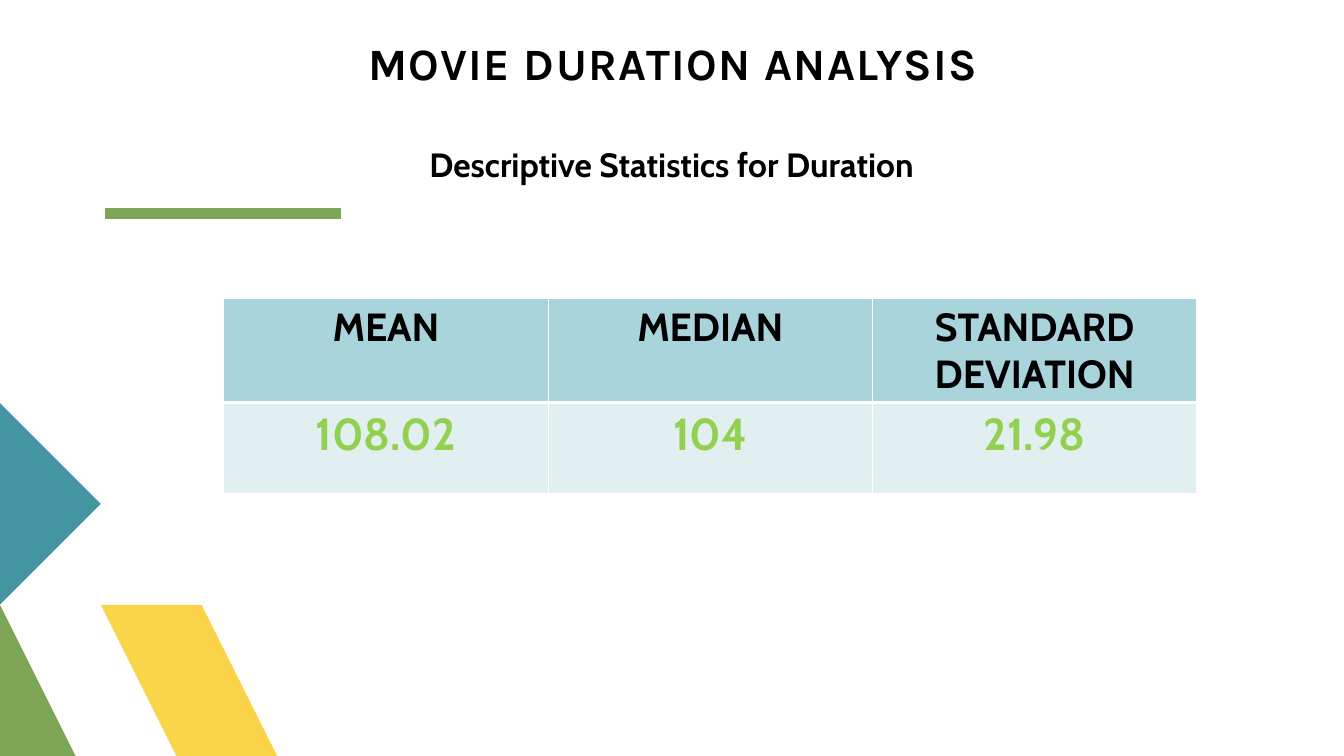
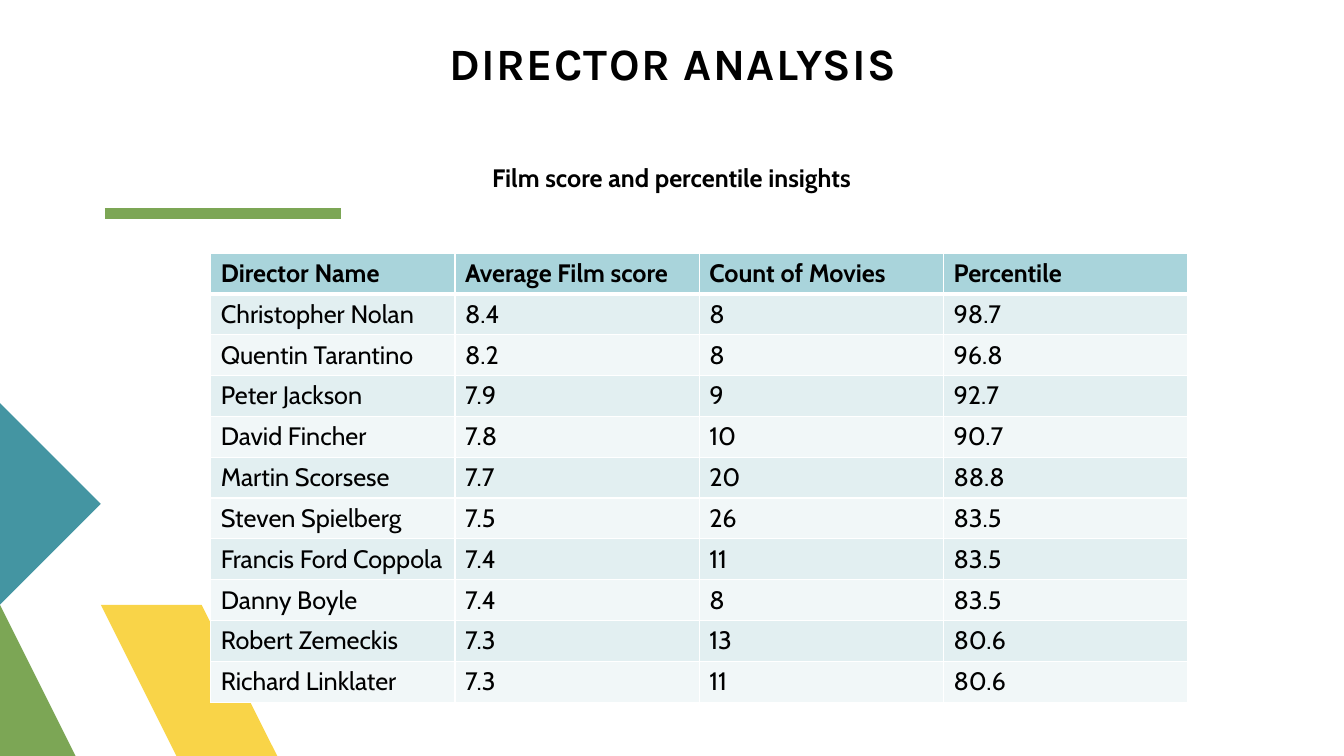
from lxml.etree import SubElement
from pptx import Presentation
from pptx.dml.color import RGBColor
from pptx.enum.shapes import MSO_CONNECTOR
from pptx.enum.text import MSO_ANCHOR, MSO_AUTO_SIZE, PP_ALIGN
from pptx.oxml.ns import qn
from pptx.util import Inches, Pt

COLORS = {
    "yellow": "F9D448",
    "green": "7CA655",
    "teal": "4495A2",
    "header": "A9D4DB",
    "odd_row": "E2EFF1",
    "even_row": "F1F7F8",
    "figure": "92D050",
    "text": "000000",
    "border": "FFFFFF",
}
CORNER_OUTLINES = [
    ("yellow", [(3.24, 7.5), (2.15, 7.5), (1.06, 6.41), (1.61, 5.87)]),
    ("green", [(1.06, 7.5), (0, 7.5), (0, 6.44)]),
    ("teal", [(0, 4.27), (1.06, 5.33), (0, 6.39)]),
]
SLIDES = [
    {
        "title": "MOVIE DURATION ANALYSIS",
        "subtitle": "Descriptive Statistics for Duration",
        "subtitle_top": 1.38, "subtitle_height": 0.5, "subtitle_size": 24,
        "table_box": (2.22, 2.96, 9.65), "row_heights": [1.03, 0.9],
        "align": PP_ALIGN.CENTER, "header_size": 28,
        "body_size": 32, "body_color": "figure", "body_bold": True,
        "rows": [
            ("MEAN", "MEDIAN", "STANDARD DEVIATION"),
            ("108.02", "104", "21.98"),
        ],
    },
    {
        "title": "DIRECTOR ANALYSIS",
        "subtitle": "Film score and percentile insights",
        "subtitle_top": 1.56, "subtitle_height": 0.4, "subtitle_size": 18,
        "table_box": (2.09, 2.51, 9.69), "row_heights": [4.46 / 11] * 11,
        "align": PP_ALIGN.LEFT, "header_size": 18,
        "body_size": 18, "body_color": "text", "body_bold": False,
        "rows": [
            ("Director Name", "Average Film score", "Count of Movies", "Percentile"),
            ("Christopher Nolan", "8.4", "8", "98.7"),
            ("Quentin Tarantino", "8.2", "8", "96.8"),
            ("Peter Jackson", "7.9", "9", "92.7"),
            ("David Fincher", "7.8", "10", "90.7"),
            ("Martin Scorsese", "7.7", "20", "88.8"),
            ("Steven Spielberg", "7.5", "26", "83.5"),
            ("Francis Ford Coppola", "7.4", "11", "83.5"),
            ("Danny Boyle", "7.4", "8", "83.5"),
            ("Robert Zemeckis", "7.3", "13", "80.6"),
            ("Richard Linklater", "7.3", "11", "80.6"),
        ],
    },
]


def write(frame, text, size, font="Cabin", color="text", bold=True, align=PP_ALIGN.CENTER):
    paragraph = frame.paragraphs[0]
    paragraph.alignment = align
    run = paragraph.add_run()
    run.text = text
    run.font.name = font
    run.font.size = Pt(size)
    run.font.bold = bold
    run.font.color.rgb = RGBColor.from_string(COLORS[color])
    return run


def style_cell(cell, fill, edges):
    properties = cell._tc.get_or_add_tcPr()
    for edge, width in edges.items():
        line = SubElement(properties, qn(f"a:ln{edge}"), w=str(Pt(width)))
        solid = SubElement(line, qn("a:solidFill"))
        SubElement(solid, qn("a:srgbClr"), val=COLORS["border"])
    cell.fill.solid()
    cell.fill.fore_color.rgb = RGBColor.from_string(COLORS[fill])


presentation = Presentation()
presentation.slide_width = Inches(13.33)
presentation.slide_height = Inches(7.5)
title_only = presentation.slide_layouts[5]

for content in SLIDES:
    slide = presentation.slides.add_slide(title_only)

    for color, points in CORNER_OUTLINES:
        builder = slide.shapes.build_freeform(*points[0], scale=Inches(1))
        builder.add_line_segments(points[1:], close=True)
        corner = builder.convert_to_shape()
        corner.shadow.inherit = False
        corner.fill.solid()
        corner.fill.fore_color.rgb = RGBColor.from_string(COLORS[color])
        corner.line.fill.background()

    accent = slide.shapes.add_connector(
        MSO_CONNECTOR.STRAIGHT, Inches(1.04), Inches(2.12), Inches(3.38), Inches(2.12))
    accent.line.width = Pt(8)
    accent.line.color.rgb = RGBColor.from_string(COLORS["green"])
    SubElement(accent._element.spPr, qn("a:effectLst"))

    title = slide.shapes.title
    title.left, title.top = Inches(3.31), Inches(0.23)
    title.width, title.height = Inches(6.73), Inches(0.67)
    heading = title.text_frame
    heading.margin_left = heading.margin_right = 0
    heading.margin_top = heading.margin_bottom = 0
    heading.vertical_anchor = MSO_ANCHOR.BOTTOM
    heading.auto_size = MSO_AUTO_SIZE.NONE
    heading.word_wrap = True
    heading_run = write(heading, content["title"], 32, font="Karla")
    heading_run.font._element.set("spc", "100")
    heading.paragraphs[0].line_spacing = 0.9

    subtitle = slide.shapes.add_textbox(
        Inches(2.09), Inches(content["subtitle_top"]),
        Inches(9.14), Inches(content["subtitle_height"])).text_frame
    subtitle.word_wrap = True
    write(subtitle, content["subtitle"], content["subtitle_size"])

    rows, heights = content["rows"], content["row_heights"]
    left, top, width = content["table_box"]
    table = slide.shapes.add_table(
        len(rows), len(rows[0]), Inches(left), Inches(top),
        Inches(width), Inches(sum(heights))).table
    for row_index, values in enumerate(rows):
        table.rows[row_index].height = Inches(heights[row_index])
        is_header = row_index == 0
        if is_header:
            fill, edges = "header", {"L": 1, "R": 1, "T": 1, "B": 3}
        else:
            fill = "odd_row" if row_index % 2 else "even_row"
            edges = {"L": 1, "R": 1, "B": 1}
        for column_index, value in enumerate(values):
            cell = table.cell(row_index, column_index)
            style_cell(cell, fill, edges)
            write(
                cell.text_frame, value,
                content["header_size"] if is_header else content["body_size"],
                color="text" if is_header else content["body_color"],
                bold=is_header or content["body_bold"],
                align=content["align"])

presentation.save("out.pptx")
